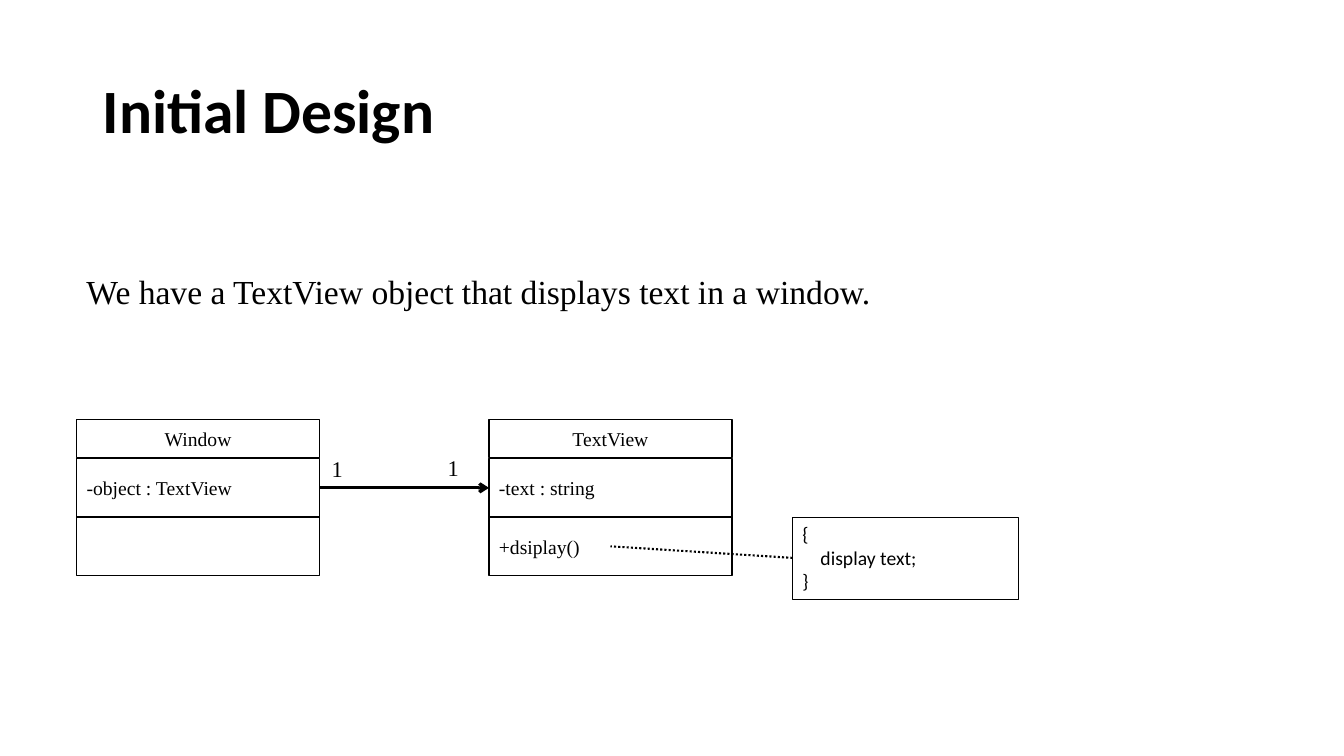
from lxml.etree import SubElement
from pptx import Presentation
from pptx.dml.color import RGBColor as RGB
from pptx.enum.dml import MSO_LINE as DASH
from pptx.enum.shapes import MSO_CONNECTOR as CONN, MSO_SHAPE as SHAPE
from pptx.enum.text import MSO_ANCHOR as ANCHOR, PP_ALIGN as ALIGN
from pptx.oxml.ns import qn
from pptx.util import Inches, Pt

COLORS = {"ink": "000000"}
SERIF, SANS = "Times New Roman", "Calibri"
CLASS_W, HEAD_H, ROW_H = 2.41, 0.38, 0.58
CLASS_TOP, BODY_TOP = 4.16, 4.55
WINDOW_X, VIEW_X = 0.76, 4.85
NOTE_X, NOTE_Y, NOTE_W, NOTE_H = 7.86, 5.13, 2.24, 0.81


class Board:
    def __init__(self, prs):
        self.s = prs.slides.add_slide(prs.slide_layouts[6])
        self.ink = RGB.from_string(COLORS["ink"])

    def fill_text(self, sp, lines, size, font=SERIF, bold=False,
                  anchor=ANCHOR.MIDDLE, align=ALIGN.LEFT, spacing=1.0, indents=()):
        tf = sp.text_frame
        tf.word_wrap = True
        tf.vertical_anchor = anchor
        for i, line in enumerate(lines):
            p = tf.paragraphs[0] if i == 0 else tf.add_paragraph()
            p.alignment, p.line_spacing = align, spacing
            if i in indents:
                p._p.get_or_add_pPr().set("marL", str(Inches(0.18)))
            r = p.add_run()
            r.text = line
            for key, value in {"name": font, "size": Pt(size), "bold": bold}.items():
                setattr(r.font, key, value)
            r.font.color.rgb = self.ink

    def text(self, box, line, size, **style):
        sp = self.s.shapes.add_textbox(*map(Inches, box))
        self.fill_text(sp, [line], size, **style)

    def box(self, box, lines=(), width=1.0, shapes=None, **style):
        shapes = self.s.shapes if shapes is None else shapes
        sp = shapes.add_shape(SHAPE.RECTANGLE, *map(Inches, box))
        sp.shadow.inherit = False
        sp.fill.background()
        sp.line.color.rgb = self.ink
        sp.line.width = Pt(width)
        self.fill_text(sp, lines, 14, **style)

    def uml_class(self, x, name, attribute, method=None):
        shapes = self.s.shapes.add_group_shape().shapes
        self.box((x, CLASS_TOP, CLASS_W, HEAD_H), [name],
                 shapes=shapes, align=ALIGN.CENTER)
        for i, member in enumerate((attribute, method)):
            self.box((x, BODY_TOP + i * ROW_H, CLASS_W, ROW_H),
                     [member] if member else [], shapes=shapes)

    def line(self, start, end, width, dash=None, arrow=False):
        c = self.s.shapes.add_connector(CONN.STRAIGHT, *map(Inches, start + end))
        for key, value in {"width": Pt(width), "dash_style": dash}.items():
            setattr(c.line, key, value)
        c.line.color.rgb = self.ink
        if arrow:
            SubElement(c.line._get_or_add_ln(), qn("a:tailEnd"), type="arrow")
        SubElement(c._element.spPr, qn("a:effectLst"))


prs = Presentation()
prs.slide_width, prs.slide_height = Inches(13.33), Inches(7.5)
board = Board(prs)

board.text((0.92, 0.4, 11.5, 1.45), "Initial Design", 44,
           font=SANS, bold=True, spacing=0.9)
board.text((0.76, 2.19, 11.5, 1.45),
           "We have a TextView object that displays text in a window.", 24, spacing=0.9)

board.uml_class(WINDOW_X, "Window", "-object : TextView")
board.uml_class(VIEW_X, "TextView", "-text : string", "+dsiplay()")

link_y = BODY_TOP + ROW_H / 2
board.line((WINDOW_X + CLASS_W, link_y), (VIEW_X, link_y), 2.25, arrow=True)
for x, y in ((3.19, 4.47), (4.34, 4.46)):
    board.text((x, y, 0.42, 0.37), "1", 16, anchor=ANCHOR.TOP)

board.line((NOTE_X, NOTE_Y + NOTE_H / 2), (VIEW_X + CLASS_W / 2, 5.42), 1.5,
           dash=DASH.ROUND_DOT)
board.box((NOTE_X, NOTE_Y, NOTE_W, NOTE_H), ["{", "display text;", "}"], 0.25,
          font=SANS, anchor=ANCHOR.TOP, indents=(1,))

prs.save("out.pptx")
